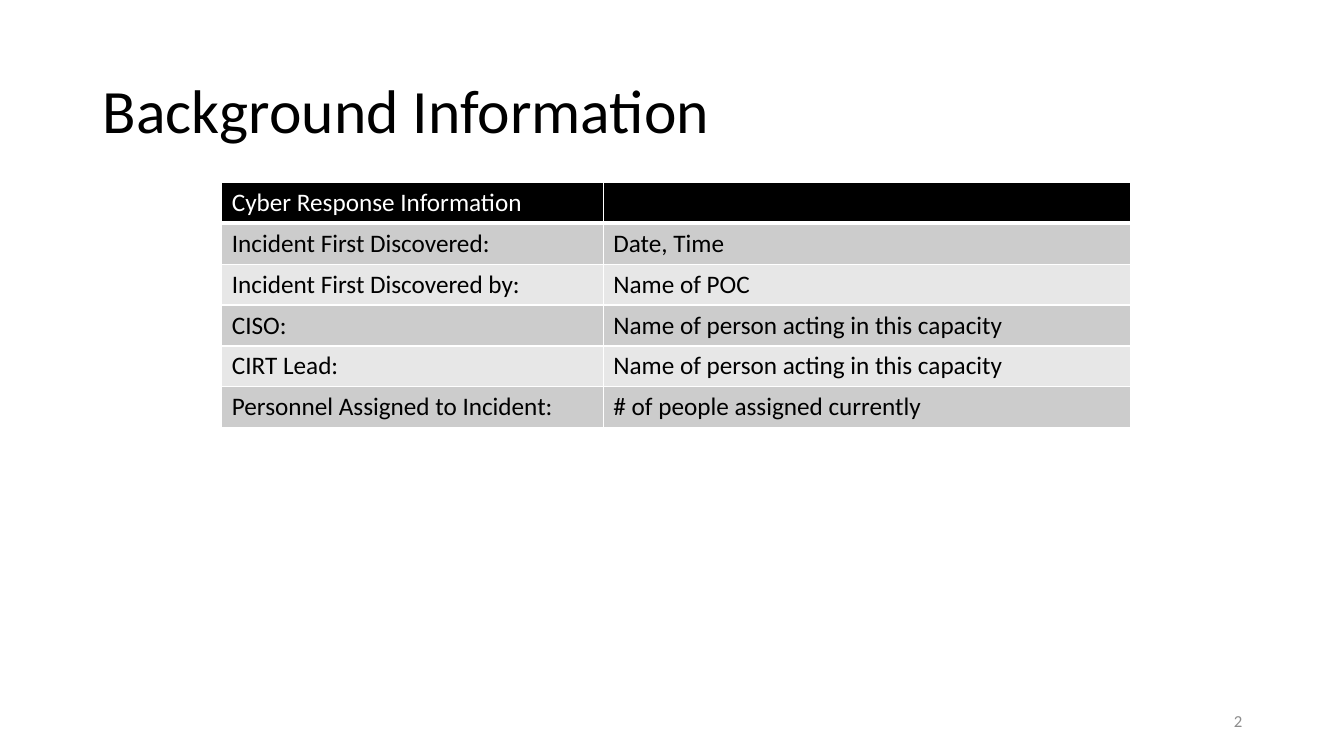
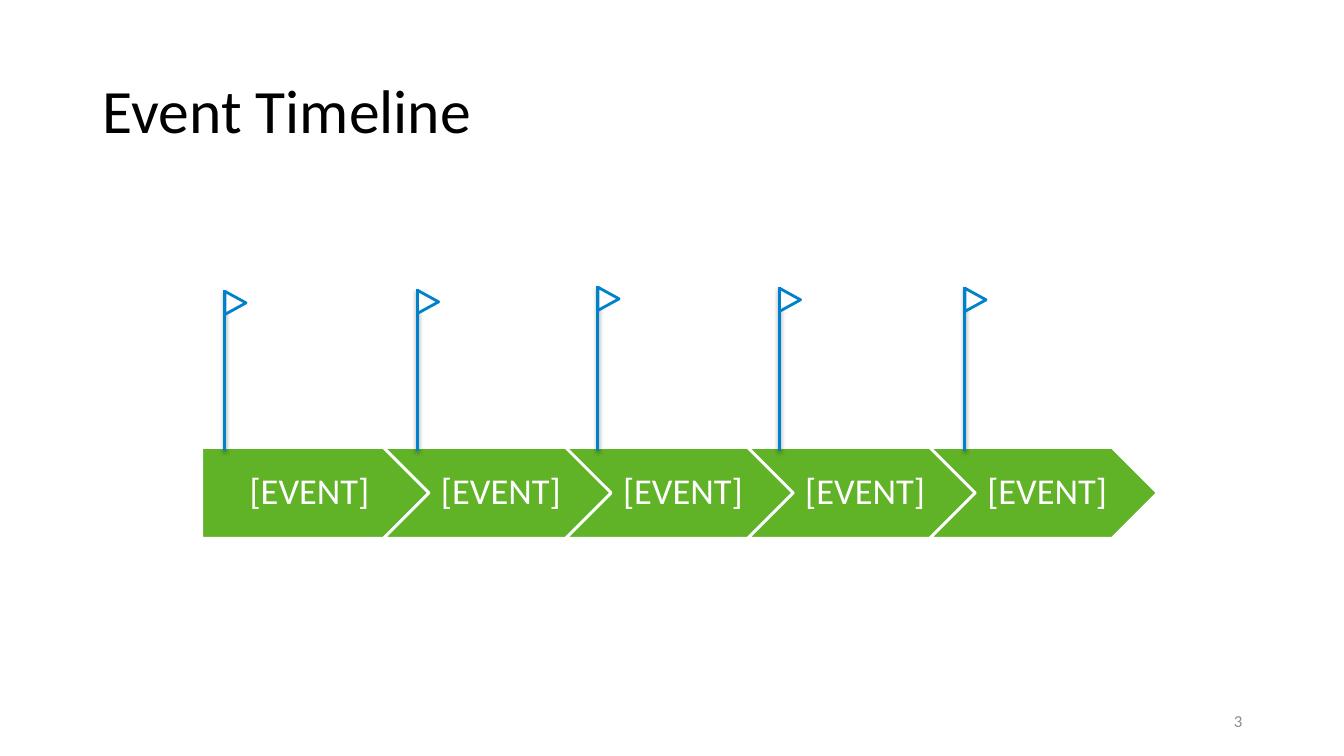
import pptx
import pptx.util
import pptx.dml.color
import pptx.enum.shapes
import pptx.enum.text
import pptx.oxml
import pptx.oxml.ns
from pptx.util import Inches, Pt

FONT = "Calibri"
BLACK, WHITE, GREY = "000000", "FFFFFF", "8C8C8C"
BANDS = ("E7E7E7", "CCCCCC")
GREEN, BLUE = "60B227", "0082CA"
WIDTH, HEIGHT = 13.33, 7.5
FIRST_NUMBER = 2
TITLE_BOX = (0.92, 0.4, 11.5, 1.45)
NUMBER_BOX = (9.42, 6.95, 3, 0.4)
TABLE_BOX = (2.2, 1.81, 9.01, 2.43)
ARROWS_BOX = (2, 4.44, 9.48, 0.9)

ROWS = [
    ("Cyber Response Information", ""),
    ("Incident First Discovered:", "Date, Time"),
    ("Incident First Discovered by:", "Name of POC"),
    ("CISO:", "Name of person acting in this capacity"),
    ("CIRT Lead:", "Name of person acting in this capacity"),
    ("Personnel Assigned to Incident:", "# of people assigned currently"),
]
EVENTS = ["[EVENT]"] * 5
FLAGS = [(2.23, 2.88), (4.14, 2.87), (5.93, 2.84), (7.73, 2.85), (9.57, 2.85)]

SHAPES = pptx.enum.shapes.MSO_SHAPE
ALIGN = pptx.enum.text.PP_ALIGN
MIDDLE = pptx.enum.text.MSO_ANCHOR.MIDDLE
NAMESPACE = pptx.oxml.ns.nsdecls("a")


def color(value):
    return pptx.dml.color.RGBColor.from_string(value)


def inches(box):
    return [Inches(length) for length in box]


def style(paragraph, size, value, alignment=ALIGN.LEFT):
    paragraph.alignment = alignment
    paragraph.font.name = FONT
    paragraph.font.size = Pt(size)
    paragraph.font.bold = False
    paragraph.font.color.rgb = color(value)


def outline(line, value):
    line.color.rgb = color(value)
    line.width = Pt(2)


def add_filled_shape(slide, kind, box, fill, line):
    shape = slide.shapes.add_shape(kind, *inches(box))
    shape.shadow.inherit = False
    shape.fill.solid()
    shape.fill.fore_color.rgb = color(fill)
    outline(shape.line, line)
    return shape


def add_title(slide, text):
    title = slide.shapes.title
    title.left, title.top, title.width, title.height = inches(TITLE_BOX)
    frame = title.text_frame
    frame.text = text
    frame.auto_size = pptx.enum.text.MSO_AUTO_SIZE.NONE
    frame.vertical_anchor = MIDDLE
    style(frame.paragraphs[0], 44, BLACK)
    frame.paragraphs[0].line_spacing = 0.9


def add_number(slide, number):
    frame = slide.shapes.add_textbox(*inches(NUMBER_BOX)).text_frame
    frame.word_wrap = True
    frame.vertical_anchor = MIDDLE
    paragraph = frame.paragraphs[0]
    style(paragraph, 12, GREY, ALIGN.RIGHT)
    paragraph._p.append(pptx.oxml.parse_xml(
        f'<a:fld {NAMESPACE} id="{{B6F15528-21DE-4FAA-801E-634DDDAF4B2B}}" type="slidenum">'
        f'<a:rPr lang="en-US"/><a:t>{number}</a:t></a:fld>'))


def add_borders(cell, header):
    properties = cell._tc.get_or_add_tcPr()
    for index, side in enumerate(("lnL", "lnR", "lnT", "lnB")):
        width = Pt(3 if header and side == "lnB" else 1)
        properties.insert(index, pptx.oxml.parse_xml(
            f'<a:{side} {NAMESPACE} w="{width}"><a:solidFill>'
            f'<a:srgbClr val="{WHITE}"/></a:solidFill></a:{side}>'))


def add_information_table(slide, box):
    table = slide.shapes.add_table(len(ROWS), 2, *inches(box)).table
    for column, share in zip(table.columns, (0.42, 0.58)):
        column.width = Inches(box[2] * share)
    for row, texts in enumerate(ROWS):
        header = row == 0
        for column, text in enumerate(texts):
            cell = table.cell(row, column)
            cell.text = text
            cell.fill.solid()
            cell.fill.fore_color.rgb = color(BLACK if header else BANDS[row % 2])
            style(cell.text_frame.paragraphs[0], 18, WHITE if header else BLACK)
            add_borders(cell, header)


def add_arrows(slide, box):
    left, top, width, height = box
    overlap = height / 2
    step = (width - overlap) / len(EVENTS)
    for index, event in enumerate(EVENTS):
        kind = SHAPES.CHEVRON if index else SHAPES.PENTAGON
        arrow = add_filled_shape(
            slide, kind, (left + index * step, top, step + overlap, height), GREEN, WHITE)
        frame = arrow.text_frame
        frame.text = event
        frame.word_wrap = False
        frame.vertical_anchor = MIDDLE
        frame.margin_left = Inches(0.11 if index else 0.15)
        frame.margin_right = Inches(0.04)
        style(frame.paragraphs[0], 26, WHITE, ALIGN.CENTER)
        frame.paragraphs[0].line_spacing = 0.9


def add_flag(slide, left, top, foot):
    pole = slide.shapes.add_connector(
        pptx.enum.shapes.MSO_CONNECTOR.STRAIGHT, *inches((left, top, left, foot)))
    outline(pole.line, BLUE)
    pole._element.spPr.append(pptx.oxml.parse_xml(
        f'<a:effectLst {NAMESPACE}><a:outerShdw blurRad="{Pt(3.1)}" dist="{Pt(1.6)}" '
        f'dir="5400000" rotWithShape="0"><a:srgbClr val="{BLACK}">'
        f'<a:alpha val="38000"/></a:srgbClr></a:outerShdw></a:effectLst>'))
    pennant = add_filled_shape(
        slide, SHAPES.ISOSCELES_TRIANGLE, (left - 0.01, top + 0.02, 0.23, 0.21), WHITE, BLUE)
    pennant.rotation = 90


def add_timeline(slide, box):
    add_arrows(slide, box)
    for left, top in FLAGS:
        add_flag(slide, left, top, box[1] + 0.03)


presentation = pptx.Presentation()
presentation.slide_width = Inches(WIDTH)
presentation.slide_height = Inches(HEIGHT)
presentation.element.set("firstSlideNum", str(FIRST_NUMBER))
PAGES = [
    ("Background Information", add_information_table, TABLE_BOX),
    ("Event Timeline", add_timeline, ARROWS_BOX),
]
for number, (heading, add_content, box) in enumerate(PAGES, FIRST_NUMBER):
    slide = presentation.slides.add_slide(presentation.slide_layouts[5])
    add_title(slide, heading)
    add_content(slide, box)
    add_number(slide, number)
presentation.save("out.pptx")
